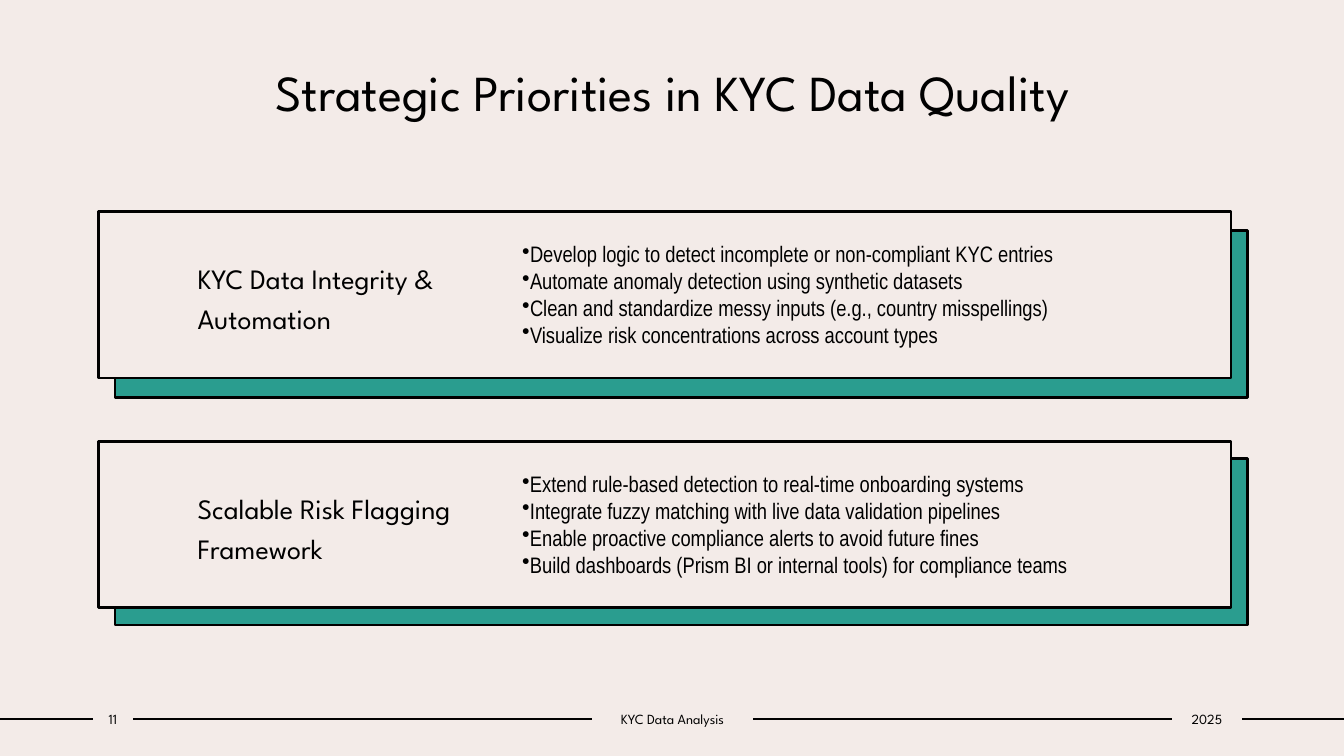
import pptx
import pptx.dml.color
import pptx.enum.shapes
import pptx.enum.text
import pptx.oxml
import pptx.util
from pptx.util import Inches

COLORS = {"ink": "000000", "paper": "F3EBE8", "teal": "2A9D8F"}
HEAD_FONT = "League Spartan"
BODY_FONT = "Arial Narrow"
ALIGN = pptx.enum.text.PP_ALIGN
ANCHOR = pptx.enum.text.MSO_ANCHOR
LEFT_SIDE, RIGHT_SIDE = 1, 3

PRIORITIES = [
    (2.1, 2.29, 2.33, 5.58, "KYC Data Integrity & Automation", [
        "Develop logic to detect incomplete or non-compliant KYC entries",
        "Automate anomaly detection using synthetic datasets",
        "Clean and standardize messy inputs (e.g., country misspellings)",
        "Visualize risk concentrations across account types",
    ]),
    (4.38, 4.55, 4.61, 5.73, "Scalable Risk Flagging Framework", [
        "Extend rule-based detection to real-time onboarding systems",
        "Integrate fuzzy matching with live data validation pipelines",
        "Enable proactive compliance alerts to avoid future fines",
        "Build dashboards (Prism BI or internal tools) for compliance teams",
    ]),
]
FOOTERS = [(0.92, 0.4, "11"), (5.87, 1.6, "KYC Data Analysis"), (11.62, 0.7, "2025")]


def rgb(name):
    return pptx.dml.color.RGBColor.from_string(COLORS[name])


def write(sp, lines, size, font=HEAD_FONT, align=ALIGN.LEFT, anchor=ANCHOR.MIDDLE,
          insets=(0.1, 0.05, 0.1, 0.05), spacing=None, wrap=True, bullet=None):
    tf = sp.text_frame
    tf.word_wrap = wrap
    tf.vertical_anchor = anchor
    tf.margin_left, tf.margin_top, tf.margin_right, tf.margin_bottom = map(Inches, insets)
    for i, line in enumerate(lines):
        p = tf.add_paragraph() if i else tf.paragraphs[0]
        p.alignment = align
        if spacing:
            p.line_spacing = spacing
        if bullet:
            pPr = p._p.get_or_add_pPr()
            pPr.set("marL", "0")
            pPr.set("indent", "0")
            bu = pptx.oxml.xmlchemy.OxmlElement("a:buChar")
            bu.set("char", bullet)
            pPr.append(bu)
        r = p.add_run()
        r.text = line
        r.font.size = pptx.util.Pt(size)
        r.font.name = font
        r.font.color.rgb = rgb("ink")


class SlideBuilder:
    def __init__(self, slide):
        self.s = slide
        fill = slide.background.fill
        fill.solid()
        fill.fore_color.rgb = rgb("paper")

    def text(self, left, top, width, height, lines, size, **fmt):
        sp = self.s.shapes.add_textbox(*map(Inches, (left, top, width, height)))
        write(sp, lines, size, **fmt)
        return sp

    def box(self, left, top, width, height, fill):
        sp = self.s.shapes.add_shape(pptx.enum.shapes.MSO_SHAPE.RECTANGLE,
                                     *map(Inches, (left, top, width, height)))
        sp.shadow.inherit = False
        sp.fill.solid()
        sp.fill.fore_color.rgb = rgb(fill)
        sp.line.color.rgb = rgb("ink")
        sp.line.width = pptx.util.Pt(2)
        return sp

    def rule(self, x1, x2, y, start=None, end=None):
        line = self.s.shapes.add_connector(pptx.enum.shapes.MSO_CONNECTOR.STRAIGHT,
                                           Inches(x1), Inches(y), Inches(x2), Inches(y))
        line.line.color.rgb = rgb("ink")
        line.line.width = pptx.util.Pt(1)
        line._element.spPr.append(pptx.oxml.xmlchemy.OxmlElement("a:effectLst"))
        if start is not None:
            line.begin_connect(start, RIGHT_SIDE)
        if end is not None:
            line.end_connect(end, LEFT_SIDE)

    def footer(self, items, slide_width, top=7, height=0.27):
        labels = [self.text(left, top, width, height, [label], 10, align=ALIGN.CENTER,
                            insets=(0, 0.05, 0, 0.05))
                  for left, width, label in items]
        starts = [0] + [left + width for left, width, _ in items]
        ends = [left for left, _, _ in items] + [slide_width]
        for x1, x2, start, end in zip(starts, ends, [None] + labels, labels + [None]):
            self.rule(x1, x2, top + height / 2, start, end)


def main():
    prs = pptx.Presentation()
    prs.slide_width, prs.slide_height = Inches(13.33), Inches(7.5)
    b = SlideBuilder(prs.slides.add_slide(prs.slide_layouts[6]))
    b.footer(FOOTERS, 13.33)
    b.text(1.25, 0.56, 10.84, 1.11, ["Strategic Priorities in KYC Data Quality"], 36,
           align=ALIGN.CENTER, anchor=ANCHOR.TOP)
    for card_top, back_top, list_top, list_width, heading, points in PRIORITIES:
        b.box(1.14, back_top, 11.23, 1.65, "teal")
        card = b.box(0.98, card_top, 11.23, 1.65, "paper")
        write(card, [heading], 20, insets=(0.98, 0.05, 7.1, 0.05), spacing=1.2)
        b.text(5.08, list_top, list_width, 1.18, points, 16, font=BODY_FONT,
               wrap=False, bullet="•")
    prs.save("out.pptx")


if __name__ == "__main__":
    main()
